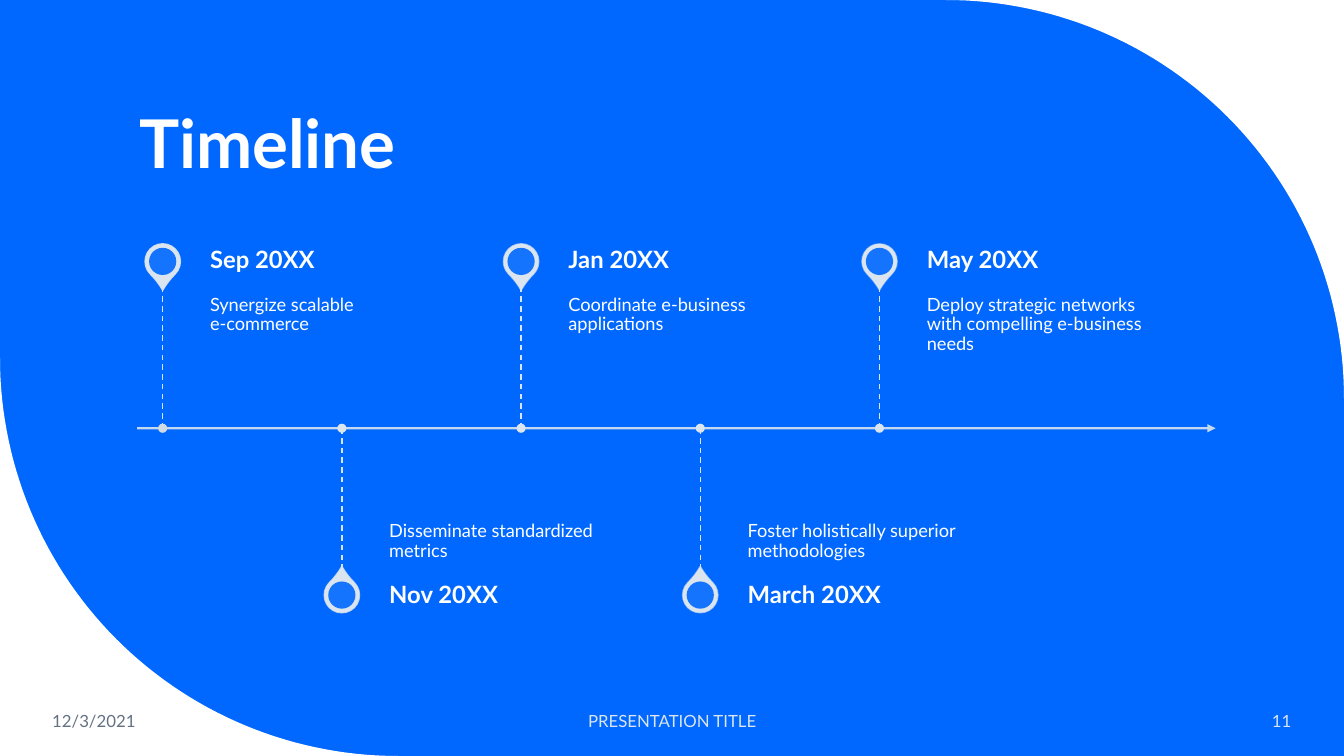
import math
from pptx import Presentation, util as u
from pptx.dml.color import RGBColor
from pptx.enum import dml, shapes, text
from pptx.oxml.ns import qn
from lxml import etree

COLS, ROWS = 75, 42.19  # square grid cells over the whole slide
BLUE, PALE, WHITE, GREY = "0068FF", "DAE5EF", "FFFFFF", "637183"
SHAPE, ANCHOR, ALIGN = shapes.MSO_SHAPE, text.MSO_ANCHOR, text.PP_ALIGN

AXIS_Y, FIRST_X, PITCH, STEM = 23.9, 9.08, 10, 7.93
TEXT_GAP, TEXT_W, HEAD_H = 2.64, 14.25, 2.81
PIN_OFFSET, PIN, HOLE, DOT = 9.31, 1.97, 1.52, 0.51
RADIUS = 22.22

EVENTS = [
    ("Sep 20XX", "Synergize scalable\ne-commerce"),
    ("Nov 20XX", "Disseminate standardized metrics"),
    ("Jan 20XX", "Coordinate e-business applications"),
    ("March 20XX", "Foster holistically superior methodologies"),
    ("May 20XX", "Deploy strategic networks with compelling e-business needs"),
]
FOOTERS = [
    (2.36, 10.46, "12/3/2021", GREY, ALIGN.LEFT),
    (24.86, 25.31, "PRESENTATION TITLE", PALE, ALIGN.CENTER),
    (62.44, 10.18, "11", PALE, ALIGN.RIGHT),
]


def rgb(value):
    return RGBColor.from_string(value)


def set_alpha(element, percent):
    """Make the first solid colour found below an XML element partly transparent."""
    clr = element.find(".//" + qn("a:srgbClr"))
    etree.SubElement(clr, qn("a:alpha")).set("val", str(percent * 1000))


class TimelineSlide:
    """Draws elements on one slide; lengths are grid cells."""
    font = "Lato"

    def __init__(self):
        self.prs = Presentation()
        self.prs.slide_width, self.prs.slide_height = u.Inches(13.333), u.Inches(7.5)
        self.cell = self.prs.slide_width / COLS
        self.s = self.prs.slides.add_slide(self.prs.slide_layouts[5])
        self.s.background.fill.solid()
        self.s.background.fill.fore_color.rgb = rgb(BLUE)

    def emu(self, *cells):
        return [round(c * self.cell) for c in cells]

    def set_text(self, sp, words, size, color=WHITE, bold=False, align=ALIGN.LEFT,
                 spacing=0.9, anchor=ANCHOR.MIDDLE, insets=(0.1, 0.05, 0.1, 0.05)):
        tf = sp.text_frame
        frame = {"word_wrap": True, "auto_size": text.MSO_AUTO_SIZE.NONE,
                 "vertical_anchor": anchor}
        sides = ("margin_left", "margin_top", "margin_right", "margin_bottom")
        frame.update(zip(sides, map(u.Inches, insets)))
        for name, value in frame.items():
            setattr(tf, name, value)
        p = tf.paragraphs[0]
        p.text, p.alignment, p.line_spacing = words, align, spacing
        for r in p.runs:
            for name, value in {"name": self.font, "size": u.Pt(size), "bold": bold}.items():
                setattr(r.font, name, value)
            r.font.color.rgb = rgb(color)

    def title(self, words, *box):
        sp = self.s.shapes.title
        for name, value in zip(("left", "top", "width", "height"), self.emu(*box)):
            setattr(sp, name, value)
        self.set_text(sp, words, 48, bold=True, anchor=ANCHOR.BOTTOM)

    def label(self, words, box, size, **style):
        self.set_text(self.s.shapes.add_textbox(*self.emu(*box)), words, size, **style)

    def paint(self, sp, fill):
        sp.shadow.inherit = False
        sp.fill.solid()
        sp.fill.fore_color.rgb = rgb(fill)
        sp.line.fill.background()

    def centred(self, kind, x, y, size, fill):
        box = self.emu(x - size / 2, y - size / 2, size, size)
        sp = self.s.shapes.add_shape(kind, *box)
        self.paint(sp, fill)
        return sp

    def pin(self, x, y, rotation, alpha):
        drop = self.centred(SHAPE.TEAR, x, y, PIN, PALE)
        drop.rotation, drop.adjustments[0] = rotation, 1.15
        drop.line.width = u.Pt(1)
        drop.line.color.rgb = rgb(PALE)
        set_alpha(drop.line._get_or_add_ln(), alpha)
        hole = self.centred(SHAPE.OVAL, x, y, HOLE, BLUE)
        set_alpha(hole._element.spPr, 90)

    def line(self, x1, y1, x2, y2, width):
        cn = self.s.shapes.add_connector(shapes.MSO_CONNECTOR.STRAIGHT,
                                         *self.emu(x1, y1, x2, y2))
        cn.line.color.rgb, cn.line.width = rgb(PALE), u.Pt(width)
        etree.SubElement(cn._element.spPr, qn("a:effectLst"))
        return cn

    def axis(self, x1, x2):
        ln = self.line(x1, AXIS_Y, x2, AXIS_Y, 1.5).line._get_or_add_ln()
        set_alpha(ln, 90)
        etree.SubElement(ln, qn("a:tailEnd")).set("type", "triangle")

    def corner(self, x, y, cx, cy, start, steps=60):
        """Fill between a slide corner and a quarter circle about (cx, cy)."""
        angles = [math.radians(start + 90 * i / steps) for i in range(steps + 1)]
        arc = [self.emu(cx + RADIUS * math.cos(a), cy + RADIUS * math.sin(a))
               for a in angles]
        builder = self.s.shapes.build_freeform(*self.emu(x, y))
        builder.add_line_segments(arc, close=True)
        self.paint(builder.convert_to_shape(), WHITE)

    def event(self, i, heading, body):
        x, up = FIRST_X + i * PITCH, i % 2 == 0
        side = -1 if up else 1
        tip, left = AXIS_Y + side * STEM, x + TEXT_GAP
        self.pin(x, AXIS_Y + side * PIN_OFFSET, 135 if up else 315, 90 - 10 * i)
        self.label(body, (left, min(tip, AXIS_Y), TEXT_W, STEM), 13,
                   anchor=ANCHOR.TOP if up else ANCHOR.BOTTOM,
                   insets=(0, 0.09, 0.09, 0.14) if up else (0, 0.14, 0, 0.09))
        self.label(heading, (left, tip - HEAD_H if up else tip, TEXT_W, HEAD_H), 17,
                   bold=True, insets=(0, 0, 0.12, 0))
        self.line(x, AXIS_Y, x, tip, 1).line.dash_style = dml.MSO_LINE.DASH
        self.centred(SHAPE.OVAL, x, AXIS_Y, DOT, PALE if i else "D0DBE4")


def main():
    slide = TimelineSlide()
    slide.corner(COLS, 0, COLS - RADIUS, RADIUS, 270)
    slide.corner(0, ROWS, RADIUS, ROWS - RADIUS, 90)
    slide.title("Timeline", 7.2, 2.36, 60.13, 8.16)
    slide.axis(7.65, 67.84)
    for i, (heading, body) in enumerate(EVENTS):
        slide.event(i, heading, body)
    for left, width, words, color, align in FOOTERS:
        slide.label(words, (left, 39.1, width, 2.25), 12,
                    color=color, align=align, spacing=1.0)
    slide.prs.save("out.pptx")


if __name__ == "__main__":
    main()
